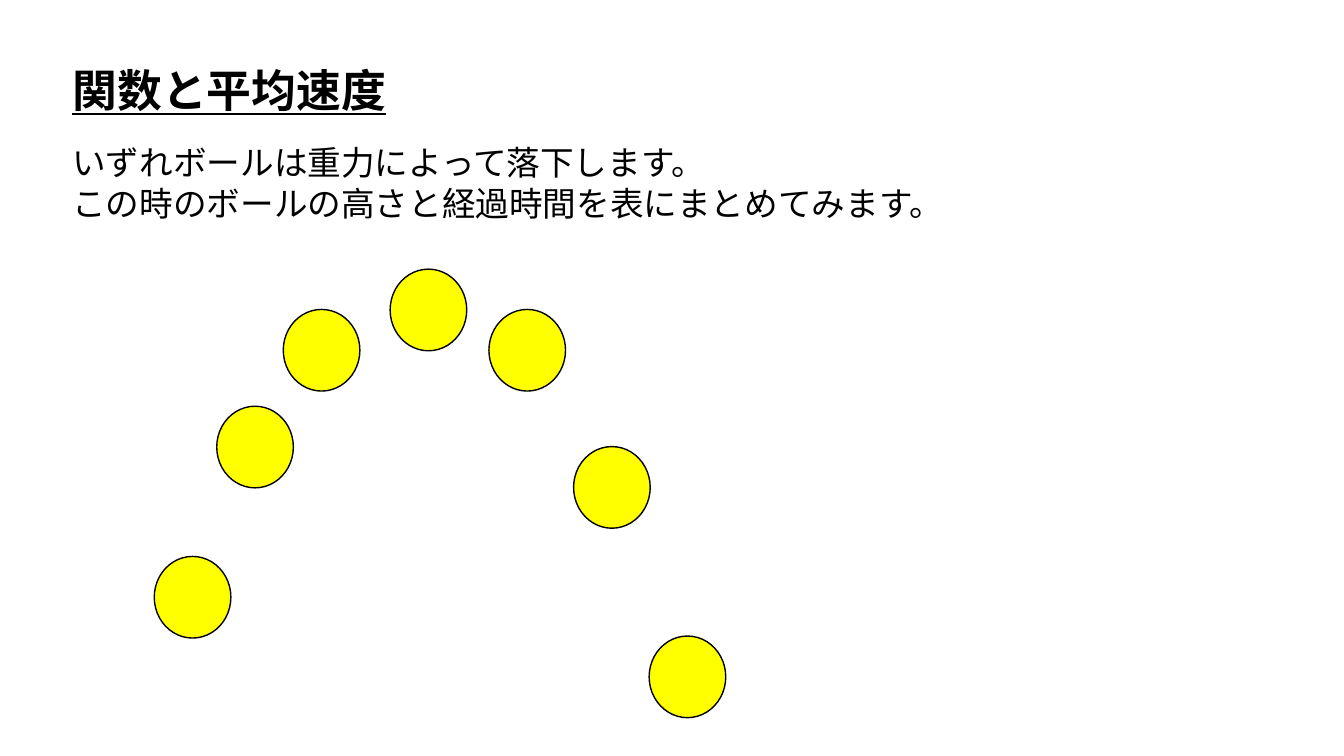
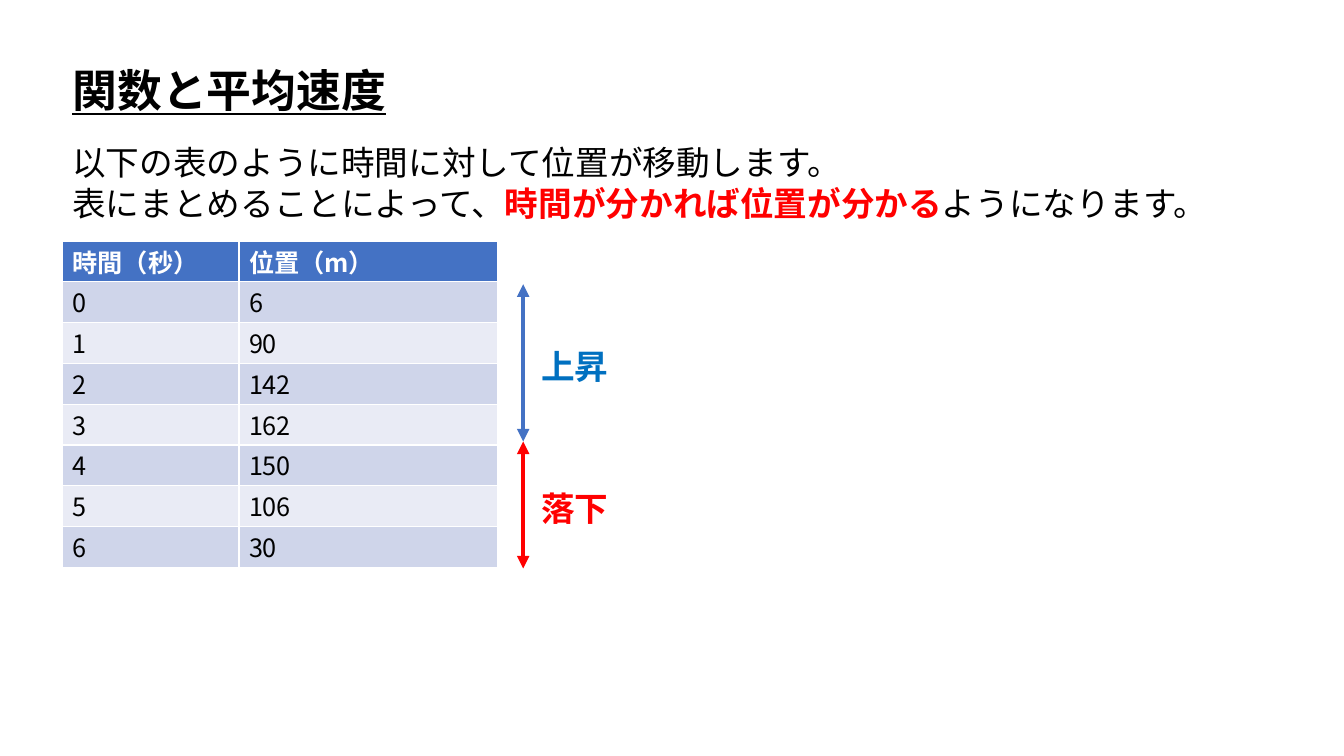
from dataclasses import dataclass

from lxml.etree import SubElement
from pptx import Presentation
from pptx.dml.color import RGBColor
from pptx.enum.shapes import MSO_CONNECTOR, MSO_SHAPE
from pptx.oxml.ns import qn
from pptx.util import Inches, Pt


@dataclass(frozen=True)
class Theme:
    font: str = "Noto Sans CJK JP"
    title: int = 32
    body: int = 24
    cell: int = 18
    lead: float = 1.2
    black: str = "000000"
    white: str = "FFFFFF"
    red: str = "FF0000"
    blue: str = "0070C0"
    head: str = "4472C4"
    ball: str = "FFFF00"
    bands: tuple = ("CFD5EA", "E9EBF5")


theme = Theme()
deck = Presentation()
deck.slide_width, deck.slide_height = Inches(13.33), Inches(7.5)


def grid(*spans):
    """Turn x, y, x, y ... in percent of the slide into lengths."""
    sides = (deck.slide_width, deck.slide_height)
    return [round(span * sides[i % 2] / 100) for i, span in enumerate(spans)]


def write(frame, lines, size, color=theme.black, **look):
    """Fill a frame; each line is a list of (text, changed format) runs."""
    insets = {"margin_left": 0.1, "margin_right": 0.1,
              "margin_top": 0.08, "margin_bottom": 0.02}
    for name, value in insets.items():
        setattr(frame, name, Inches(value))
    frame.word_wrap = True
    for i, line in enumerate(lines):
        para = frame.add_paragraph() if i else frame.paragraphs[0]
        para.line_spacing = Pt(size * theme.lead)
        for text, change in line:
            run = para.add_run()
            run.text = text
            style = {"color": color, "bold": False, **look, **change}
            run.font.color.rgb = RGBColor.from_string(style.pop("color"))
            style.update(name=theme.font, size=Pt(size))
            for name, value in style.items():
                setattr(run.font, name, value)
            SubElement(run._r.get_or_add_rPr(), qn("a:ea"), typeface=theme.font)


# Shared title and lead text
left, top = 4.65, 17.73
pages = [
    (67.12, [[("いずれボールは重力によって落下します。", {})],
             [("この時のボールの高さと経過時間を表にまとめてみます。", {})]]),
    (87.38, [[("以下の表のように時間に対して位置が移動します。", {})],
             [("表にまとめることによって、", {}),
              ("時間が分かれば位置が分かる", {"color": theme.red, "bold": True}),
              ("ようになります。", {})]]),
]
slides = []
for width, lines in pages:
    slide = deck.slides.add_slide(deck.slide_layouts[6])
    title = slide.shapes.add_textbox(*grid(left, 7.2, 25.05, 8.53))
    write(title.text_frame, [[("関数と平均速度", {})]], theme.title,
          bold=True, underline=True)
    lead = slide.shapes.add_textbox(*grid(left, top, width, 12.13))
    write(lead.text_frame, lines, theme.body)
    slides.append(slide)
flight, data = slides

# Flight of the ball
spots = [(11.48, 73.6), (16.13, 53.73), (21.08, 40.93), (29.03, 35.6),
         (36.38, 40.93), (42.68, 59.07), (48.3, 84.13)]
for x, y in spots:
    ball = flight.shapes.add_shape(MSO_SHAPE.OVAL, *grid(x, y, 5.7, 10.8))
    ball.shadow.inherit = False
    ball.fill.solid()
    ball.fill.fore_color.rgb = RGBColor.from_string(theme.ball)
    ball.line.color.rgb = RGBColor.from_string(theme.black)
    ball.line.width = Pt(1)

# Time and height
rows = [("時間（秒）", "位置（m）"),
        *enumerate([6, 90, 142, 162, 150, 106, 30])]
cols, step = (13.13, 19.28), 5.4
table = data.shapes.add_table(
    len(rows), len(cols),
    *grid(left, 31.87, sum(cols), step * len(rows))).table
for col, width in zip(table.columns, cols):
    col.width = grid(width)[0]
for r, row in enumerate(rows):
    fill = theme.bands[(r - 1) % 2] if r else theme.head
    color = theme.black if r else theme.white
    for c, value in enumerate(row):
        cell = table.cell(r, c)
        cell.fill.solid()
        cell.fill.fore_color.rgb = RGBColor.from_string(fill)
        write(cell.text_frame, [[(str(value), {})]], theme.cell, color,
              bold=r == 0)
        cell.margin_top, cell.margin_bottom = Inches(0.08), Inches(0.02)

# Rise and fall
phases = [("上昇", 37.6, 58.4, 44.67, theme.head, theme.blue),
          ("落下", 58.4, 75.2, 63.47, theme.red, theme.red)]
for text, start, end, y, stroke, color in phases:
    arrow = data.shapes.add_connector(
        MSO_CONNECTOR.STRAIGHT, *grid(38.93, start, 38.93, end))
    arrow.line.color.rgb = RGBColor.from_string(stroke)
    arrow.line.width = Pt(3)
    for tip in ("a:headEnd", "a:tailEnd"):
        SubElement(arrow.line._get_or_add_ln(), qn(tip), type="triangle")
    SubElement(arrow._element.spPr, qn("a:effectLst"))
    label = data.shapes.add_textbox(*grid(39.53, y, 6.6, 6.67))
    write(label.text_frame, [[(text, {})]], theme.body, color, bold=True)

deck.save("out.pptx")
